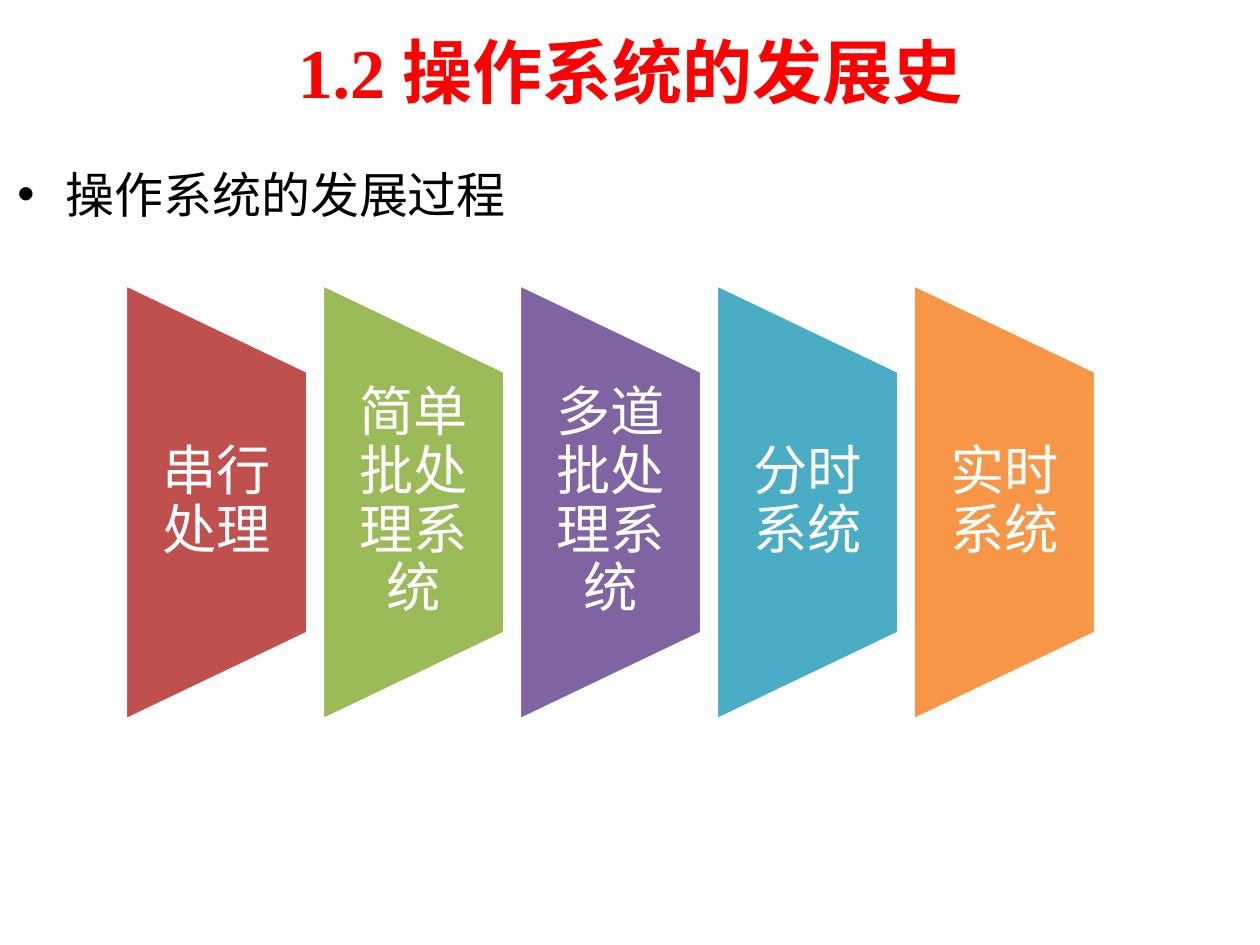
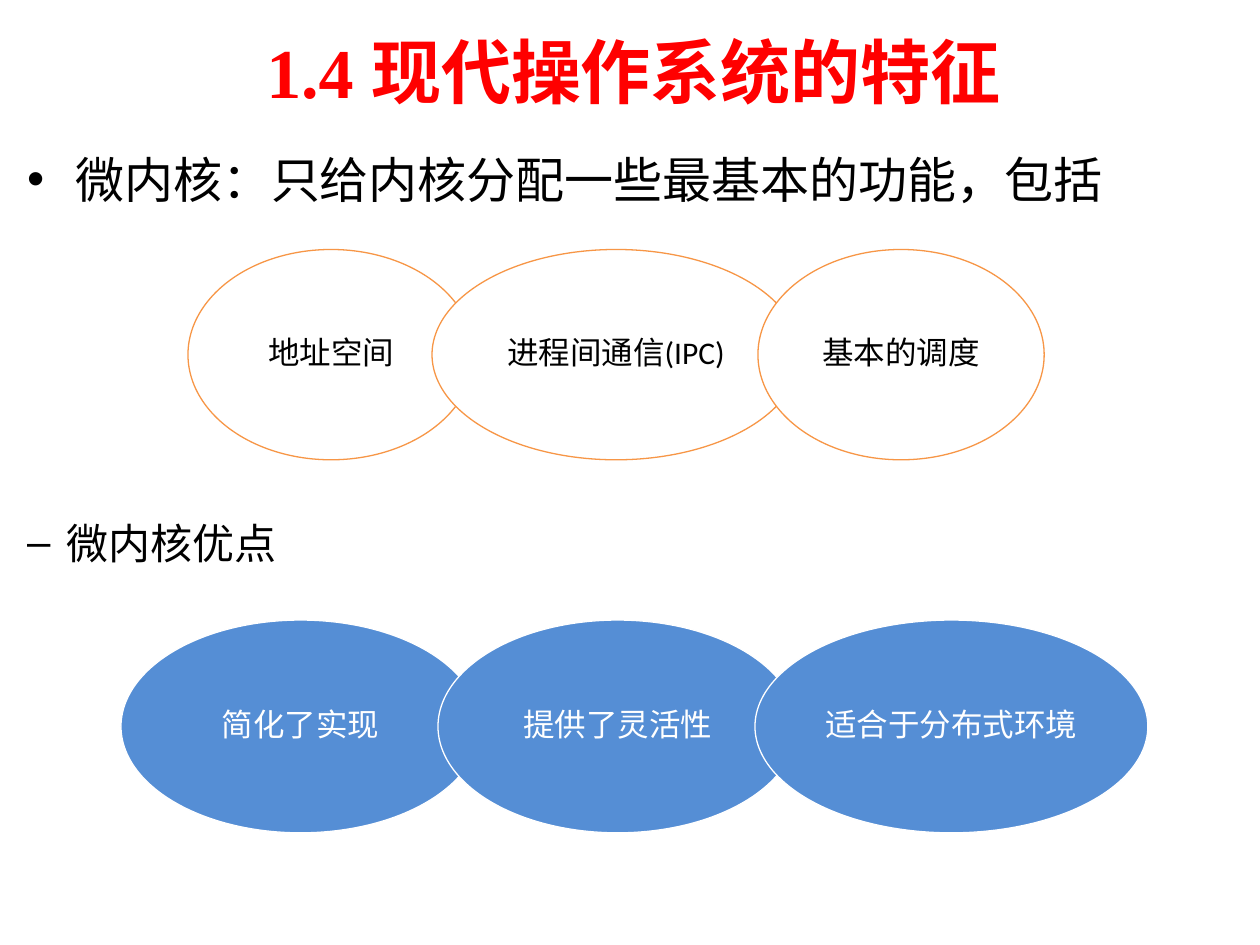
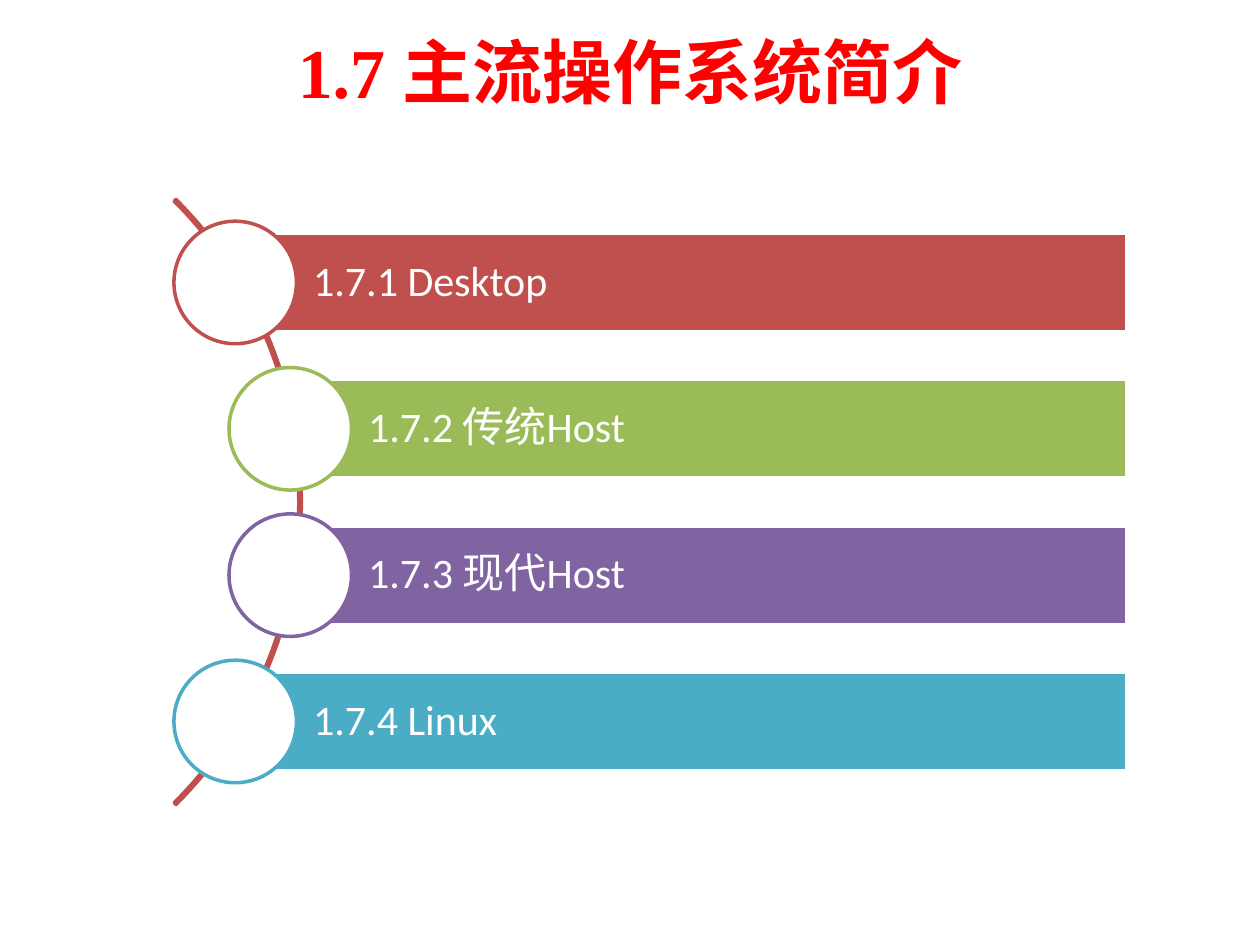
from math import sqrt

from lxml.etree import SubElement
from pptx import Presentation
from pptx.dml.color import RGBColor
from pptx.enum.shapes import MSO_SHAPE
from pptx.enum.text import MSO_ANCHOR, PP_ALIGN
from pptx.oxml.ns import qn
from pptx.util import Cm, Pt

SERIF, SANS = "Times New Roman", "Calibri"
WHITE, BLACK, TITLE_RED = "FFFFFF", "000000", "FF0000"
RED, GREEN, PURPLE, TEAL, ORANGE = "C0504D", "9BBB59", "8064A2", "4BACC6", "F79646"
KERNEL_BLUE = "558ED5"

TITLE = {"size": 40, "name": SERIF, "color": TITLE_RED, "bold": True}
POINT = {"size": 28, "name": SERIF, "color": BLACK}
SUBPOINT = {"size": 24, "name": SERIF, "color": BLACK}
STAGE = {"size": 31, "name": SANS, "color": WHITE}
SYSTEM = {"size": 24, "name": SANS, "color": WHITE}

# Boxes are (left, top, width, height) in centimetres.
TITLE_BOX = (1.27, 0.13, 22.86, 2.59)
DEFAULT_INSETS = (0.25, 0.13, 0.25, 0.13)

HISTORY = {
    "title": "1.2 操作系统的发展史",
    "point": "操作系统的发展过程",
    "stages": [
        ("串行处理", RED),
        ("简单批处理系统", GREEN),
        ("多道批处理系统", PURPLE),
        ("分时系统", TEAL),
        ("实时系统", ORANGE),
    ],
}
FEATURES = {
    "title": "1.4 现代操作系统的特征",
    "point": "微内核：只给内核分配一些最基本的功能，包括",
    "subpoint": "微内核优点",
    # text and ellipse width
    "functions": [("地址空间", 5.77), ("进程间通信(IPC)", 7.42), ("基本的调度", 5.77)],
    "benefits": [("简化了实现", 7.24), ("提供了灵活性", 7.24), ("适合于分布式环境", 7.92)],
}
SYSTEMS = {
    "title": "1.7 主流操作系统简介",
    "systems": [
        ("1.7.1 Desktop", RED),
        ("1.7.2 传统Host", GREEN),
        ("1.7.3 现代Host", PURPLE),
        ("1.7.4 Linux", TEAL),
    ],
}


def rgb(value):
    return RGBColor.from_string(value)


def place(box):
    return [Cm(length) for length in box]


def write(shape, text, style, align=PP_ALIGN.LEFT, anchor=MSO_ANCHOR.MIDDLE,
          insets=DEFAULT_INSETS, spacing=1.0, bullet=None, indent=0):
    """Fill the shape with one formatted paragraph."""
    frame = shape.text_frame
    sides = ("margin_left", "margin_top", "margin_right", "margin_bottom")
    settings = dict(zip(sides, place(insets)), word_wrap=True, vertical_anchor=anchor)
    for name, value in settings.items():
        setattr(frame, name, value)
    paragraph = frame.paragraphs[0]
    paragraph.alignment = align
    paragraph.line_spacing = spacing
    if bullet:
        properties = paragraph._p.get_or_add_pPr()
        properties.set("marL", str(Cm(indent)))
        properties.set("indent", str(-Cm(indent)))
        SubElement(properties, qn("a:buFont"), typeface="Arial")
        SubElement(properties, qn("a:buChar"), char=bullet)
    run = paragraph.add_run()
    run.text = text
    formats = {**style, "size": Pt(style["size"])}
    run.font.color.rgb = rgb(formats.pop("color"))
    for name, value in formats.items():
        setattr(run.font, name, value)


def add_text(slide, box, text, style, **layout):
    write(slide.shapes.add_textbox(*place(box)), text, style, **layout)


def add_figure(slide, kind, box, fill, line, line_width=2):
    figure = slide.shapes.add_shape(kind, *place(box))
    figure.shadow.inherit = False
    figure.fill.solid()
    figure.fill.fore_color.rgb = rgb(fill)
    figure.line.color.rgb = rgb(line)
    figure.line.width = Pt(line_width)
    return figure


def add_titled_slide(deck, title, box=TITLE_BOX):
    slide = deck.slides.add_slide(deck.slide_layouts[6])
    add_text(slide, box, title, TITLE, align=PP_ALIGN.CENTER)
    return slide


def add_point(slide, box, text, style=POINT, bullet="•", indent=0.97, spacing=1.0):
    add_text(slide, box, text, style, anchor=MSO_ANCHOR.TOP,
             bullet=bullet, indent=indent, spacing=spacing)


def build_history(deck):
    slide = add_titled_slide(deck, HISTORY["title"])
    left, top, width, height, pitch = 2.53, 5.73, 3.68, 8.79, 3.97
    text_height = 5.28
    for index, (stage, color) in enumerate(HISTORY["stages"]):
        x = left + index * pitch
        # A quarter turn swaps the sides around the same centre.
        shift = (height - width) / 2
        trapezoid = add_figure(slide, MSO_SHAPE.FLOWCHART_MANUAL_OPERATION,
                               (x - shift, top + shift, height, width), color, WHITE)
        trapezoid.rotation = 270
        add_text(slide, (x, top + (height - text_height) / 2, width, text_height),
                 stage, STAGE, align=PP_ALIGN.CENTER,
                 insets=(0.56, 0, 0.56, 0), spacing=0.9)
    add_point(slide, (0.1, 3.18, 21.64, 1.6), HISTORY["point"])


def add_ellipse_chain(slide, left, top, height, links, fill, line, color):
    overlap = 0.85
    for text, width in links:
        ellipse = add_figure(slide, MSO_SHAPE.OVAL, (left, top, width, height),
                             fill, line, line_width=0.75)
        write(ellipse, text, {"size": 18, "name": SANS, "color": color},
              align=PP_ALIGN.CENTER, insets=(0.22, 0.08, 0.22, 0.08), spacing=0.9)
        left += width - overlap


def build_features(deck):
    slide = add_titled_slide(deck, FEATURES["title"], (1.9, 0.53, 21.74, 1.78))
    add_point(slide, (0.3, 3.12, 24.74, 1.5), FEATURES["point"], spacing=0.8)
    add_point(slide, (0.3, 10.49, 24.74, 1.3), FEATURES["subpoint"], SUBPOINT,
              bullet="–", indent=0.79, spacing=0.8)
    add_ellipse_chain(slide, 3.79, 5.03, 4.24, FEATURES["functions"], WHITE, ORANGE, BLACK)
    add_ellipse_chain(slide, 2.44, 12.5, 4.29, FEATURES["benefits"], KERNEL_BLUE, WHITE, WHITE)


def build_systems(deck):
    slide = add_titled_slide(deck, SYSTEMS["title"])
    center_x, center_y, diameter = -2.55, 10.12, 17.25
    arc = add_figure(slide, MSO_SHAPE.BLOCK_ARC,
                     (center_x - diameter / 2, center_y - diameter / 2, diameter, diameter),
                     RED, RED)
    for index, value in enumerate((189, 27, 0.003)):
        arc.adjustments[index] = value

    track_radius, pitch, bar_height, bar_right, knob = 8.53, 2.95, 1.99, 22.72, 2.47
    middle = (len(SYSTEMS["systems"]) - 1) / 2
    for index, (system, color) in enumerate(SYSTEMS["systems"]):
        offset = (index - middle) * pitch
        x = center_x + sqrt(track_radius ** 2 - offset ** 2)
        y = center_y + offset
        bar = add_figure(slide, MSO_SHAPE.RECTANGLE,
                         (x, y - bar_height / 2, bar_right - x, bar_height), color, WHITE)
        write(bar, system, SYSTEM, insets=(1.57, 0.17, 0.17, 0.17), spacing=0.9)
        add_figure(slide, MSO_SHAPE.OVAL, (x - knob / 2, y - knob / 2, knob, knob),
                   WHITE, color)


def main():
    deck = Presentation()
    deck.slide_width, deck.slide_height = Cm(25.4), Cm(19.05)
    for build in (build_history, build_features, build_systems):
        build(deck)
    deck.save("out.pptx")


if __name__ == "__main__":
    main()
